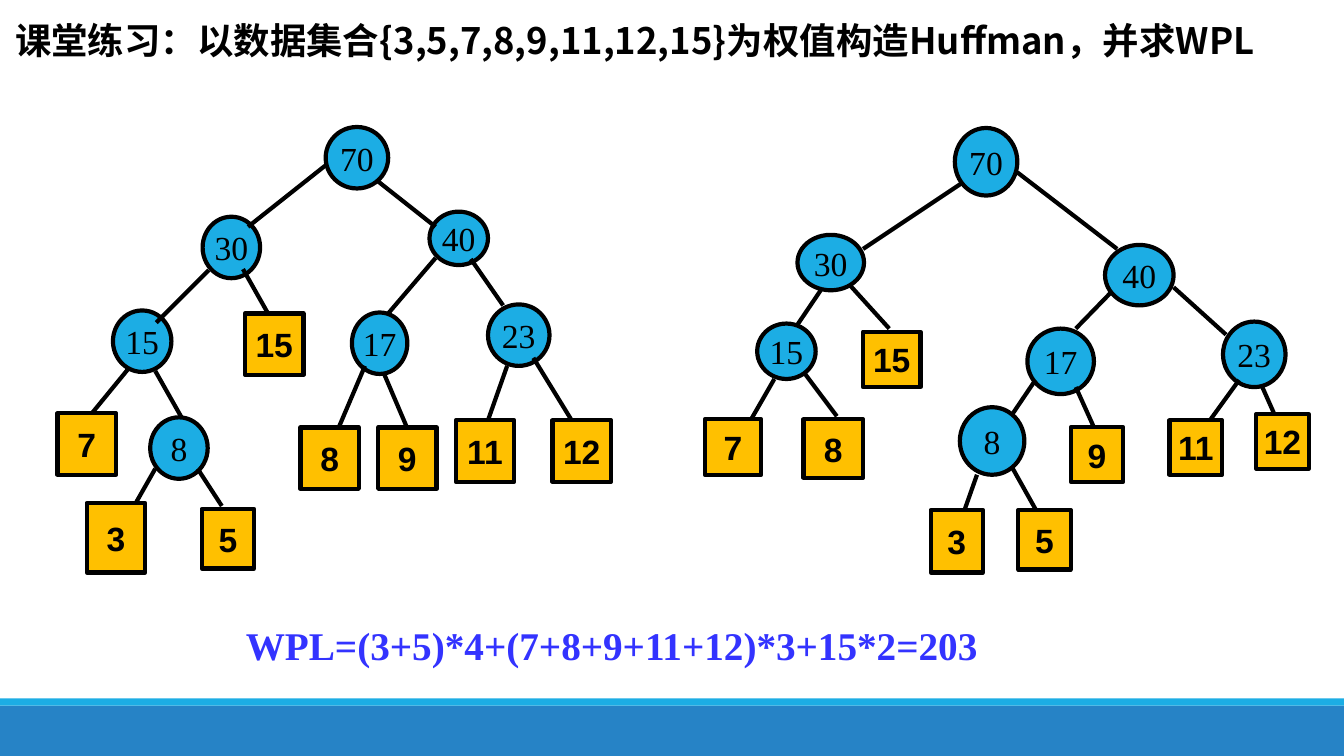
from lxml.etree import SubElement
from pptx import Presentation
from pptx.dml.color import RGBColor
from pptx.enum.shapes import MSO_CONNECTOR as CONNECTOR, MSO_SHAPE as SHAPE
from pptx.enum.text import MSO_ANCHOR as ANCHOR, MSO_AUTO_SIZE as AUTO_SIZE, PP_ALIGN as ALIGN
from pptx.oxml.ns import qn
from pptx.util import Pt

PX = 9144


def color(value):
    return RGBColor.from_string(value)


def add_block(shapes, kind, box, fill):
    shape = shapes.add_shape(kind, *[n * PX for n in box])
    shape.shadow.inherit = False
    shape.fill.solid()
    shape.fill.fore_color.rgb = color(fill)
    shape.line.fill.background()
    return shape


presentation = Presentation()
presentation.slide_width = 1333 * PX
presentation.slide_height = 750 * PX
slide = presentation.slides.add_slide(presentation.slide_layouts[5])

add_block(slide.shapes, SHAPE.RECTANGLE, (0, 700, 1333, 50), "2683C6")
add_block(slide.shapes, SHAPE.RECTANGLE, (0, 693, 1333, 7), "1CADE4")

title = slide.shapes.title
title.left, title.top, title.width, title.height = [n * PX for n in (5, 13, 1328, 54)]
formula = slide.shapes.add_textbox(*[n * PX for n in (234, 611, 776, 57)])
for shape, text, font_name, size, text_color in [
    (title, "课堂练习：以数据集合{3,5,7,8,9,11,12,15}为权值构造Huffman，并求WPL",
     "Noto Sans CJK SC", 26, "000000"),
    (formula, "WPL=(3+5)*4+(7+8+9+11+12)*3+15*2=203", "Times New Roman", 28, "3333FF"),
]:
    frame = shape.text_frame
    frame.text = text
    frame.word_wrap = True
    frame.auto_size = AUTO_SIZE.NONE
    frame.vertical_anchor = ANCHOR.MIDDLE
    paragraph = frame.paragraphs[0]
    paragraph.alignment = ALIGN.LEFT
    font = paragraph.font
    font.name, font.size, font.bold = font_name, Pt(size), True
    font.color.rgb = color(text_color)

title_run = title.text_frame.paragraphs[0].runs[0]
title_run.font.name = "Noto Sans CJK SC"
SubElement(title_run.font._element, qn("a:ea"), typeface="Noto Sans CJK SC")

left_tree = {
    "nodes": [
        (8, 149, 414, 57, 61), (15, 112, 308, 58, 61), (30, 201, 215, 57, 61),
        (40, 426, 210, 58, 53), (70, 323, 126, 62, 61), (17, 349, 310, 55, 61),
        (23, 484, 302, 61, 61),
    ],
    "edges": [
        (196, 465, 220, 502), (154, 465, 133, 502), (128, 365, 92, 409),
        (154, 368, 180, 414), (207, 268, 155, 320), (241, 267, 267, 313),
        (362, 363, 336, 424), (381, 371, 407, 432), (432, 256, 385, 311),
        (503, 363, 484, 417), (529, 355, 567, 417), (467, 257, 499, 303),
        (323, 164, 246, 225), (375, 180, 432, 225),
    ],
    "leaves": [
        (3, 86, 499, 58, 69), (5, 200, 505, 52, 59), (7, 57, 410, 58, 61),
        (8, 298, 424, 58, 61), (9, 375, 424, 58, 61), (11, 452, 417, 58, 61),
        (12, 548, 417, 58, 61), (15, 243, 311, 58, 61),
    ],
}
right_tree = {
    "nodes": [
        (8, 952, 404, 64, 67), (17, 1019, 326, 66, 65), (23, 1213, 319, 62, 65),
        (15, 751, 321, 58, 55), (30, 791, 233, 66, 55), (40, 1096, 243, 68, 60),
        (70, 947, 127, 62, 67),
    ],
    "edges": [
        (969, 471, 957, 505), (1004, 464, 1027, 505), (1027, 377, 1004, 411),
        (1067, 384, 1085, 424), (768, 376, 745, 416), (797, 369, 830, 413),
        (1102, 290, 1067, 326), (1164, 285, 1216, 332), (1229, 377, 1200, 417),
        (1252, 384, 1264, 411), (814, 288, 791, 322), (843, 283, 882, 326),
        (955, 181, 856, 247), (1009, 171, 1108, 247),
    ],
    "leaves": [
        (3, 923, 506, 52, 62), (5, 1010, 506, 52, 59), (9, 1062, 424, 52, 54),
        (7, 699, 416, 56, 55), (8, 797, 416, 59, 58), (11, 1160, 417, 52, 54),
        (12, 1246, 411, 52, 54), (15, 856, 329, 57, 55),
    ],
}
styles = {
    "nodes": (SHAPE.OVAL, "1CADE4", "Times New Roman", False),
    "leaves": (SHAPE.RECTANGLE, "FFC000", "Arial", True),
}

for tree in (left_tree, right_tree):
    group = slide.shapes.add_group_shape()
    for part, items in tree.items():
        if part == "edges":
            for ends in items:
                edge = group.shapes.add_connector(CONNECTOR.STRAIGHT, *[n * PX for n in ends])
                edge.line.color.rgb = color("000000")
                edge.line.width = Pt(3)
                SubElement(edge._element.spPr, qn("a:effectLst"))
            continue
        kind, fill, font_name, bold = styles[part]
        for weight, *box in items:
            shape = add_block(group.shapes, kind, box, fill)
            shape.line.color.rgb = color("000000")
            shape.line.width = Pt(3)
            frame = shape.text_frame
            frame.text = str(weight)
            frame.word_wrap = False
            frame.vertical_anchor = ANCHOR.MIDDLE
            paragraph = frame.paragraphs[0]
            paragraph.alignment = ALIGN.CENTER
            font = paragraph.font
            font.name, font.size, font.bold = font_name, Pt(24), bold
            font.color.rgb = color("000000")

presentation.save("out.pptx")
